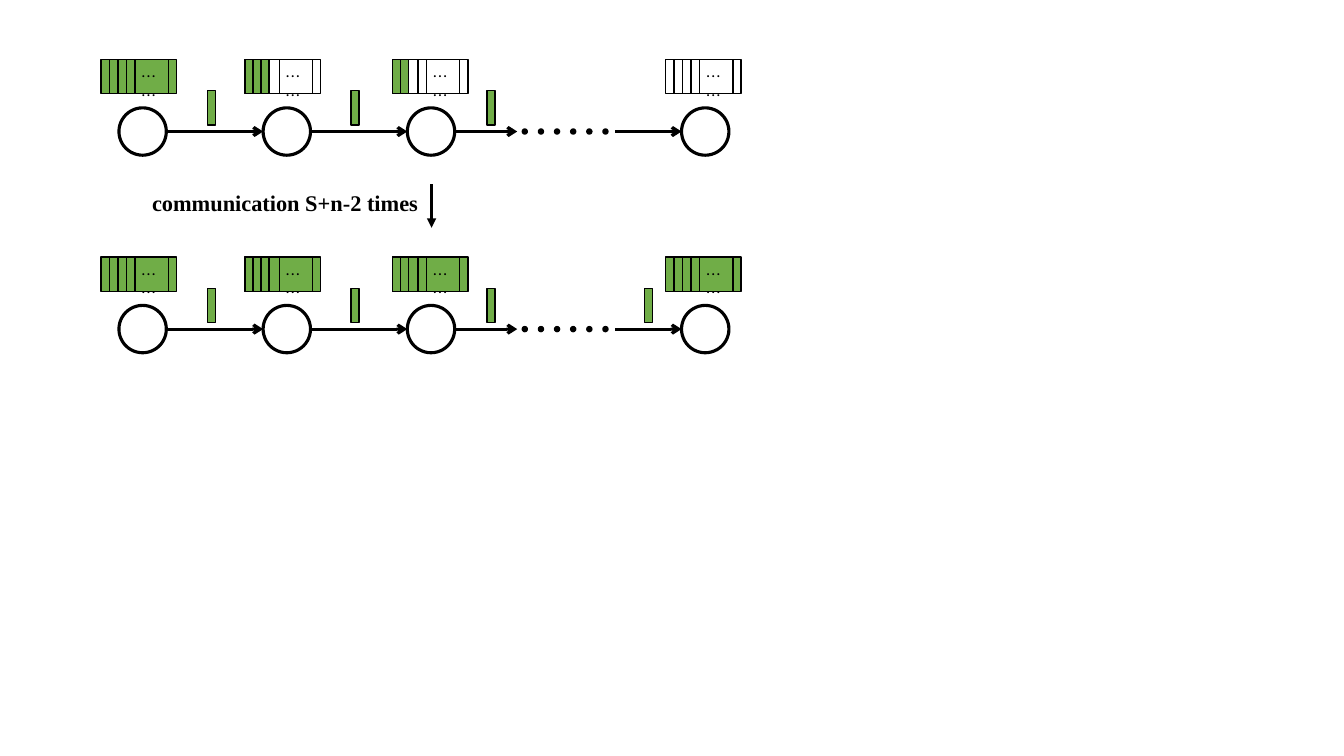
from pptx import Presentation
from pptx.dml.color import RGBColor
from pptx.enum.shapes import MSO_CONNECTOR, MSO_SHAPE
from pptx.enum.text import MSO_AUTO_SIZE
from pptx.oxml.ns import qn
from pptx.util import Inches, Pt
from lxml.etree import SubElement

COLORS = {"black": "000000", "white": "FFFFFF", "green": "70AD47"}
UNIT = Inches(0.01)  # one column or row of the slide grid
THIN, THICK = 1, 2.25

# Parts of a pipeline row, in grid units from its left and top
STACKS = (0, 143, 289, 560)
NODES = (18, 161, 304, 576)
PACKETS = (106, 248, 383, 539)
STACK_WIDTH, CELL_WIDTH, CELL_HEIGHT = 75, 8, 34
DIVIDER_STEP, LEADING_DIVIDERS, LAST_DIVIDER = 8.5, 4, 67
NODE_SIZE, NODE_TOP, PACKET_TOP = 47, 48, 31
GAP_LEFT, GAP_WIDTH, GAP_HEIGHT = 413, 97, 38
DOT_SIZE, DOT_STEP, DOT_COUNT = 5, 16, 6
RECT_LEFT, RECT_RIGHT = 1, 3


def grid(*lengths):
    return [round(length * UNIT) for length in lengths]


def color(name):
    return RGBColor.from_string(COLORS[name])


def add_block(page, kind, box, fill, line="black", weight=THIN):
    block = page.shapes.add_shape(kind, *grid(*box))
    block.shadow.inherit = False
    block.fill.solid()
    block.fill.fore_color.rgb = color(fill)
    block.line.color.rgb = color(line)
    block.line.width = Pt(weight)
    return block


def add_line(page, ends, weight=THIN, head=None):
    line = page.shapes.add_connector(MSO_CONNECTOR.STRAIGHT, *grid(*ends))
    line.line.color.rgb = color("black")
    line.line.width = Pt(weight)
    if head:
        SubElement(line.line._get_or_add_ln(), qn("a:tailEnd"), type=head)
    SubElement(line._element.spPr, qn("a:effectLst"))
    return line


def add_text(page, box, text, wrap, style):
    frame = page.shapes.add_textbox(*grid(*box)).text_frame
    frame.word_wrap = wrap
    frame.auto_size = MSO_AUTO_SIZE.SHAPE_TO_FIT_TEXT
    span = frame.paragraphs[0].add_run()
    span.text = text
    for name, value in style.items():
        setattr(span.font, name, value)
    span.font.color.rgb = color("black")
    SubElement(span.font._element, qn("a:ea"), typeface=style["name"])


def draw_cell(page, left, top):
    add_block(page, MSO_SHAPE.RECTANGLE, (left, top, CELL_WIDTH, CELL_HEIGHT), "green")


def draw_stack(page, left, top, fill, green_cells):
    """A stack of data slices whose first cells may be filled."""
    add_block(page, MSO_SHAPE.RECTANGLE, (left, top, STACK_WIDTH, CELL_HEIGHT), fill)
    add_text(page, (left + 30, top + 3, 46, 29), "……", True,
             {"name": "Noto Sans CJK SC", "size": Pt(11)})
    dividers = [step * DIVIDER_STEP for step in range(green_cells + 1, LEADING_DIVIDERS + 1)]
    for offset in dividers + [LAST_DIVIDER]:
        add_line(page, (left + offset, top, left + offset, top + CELL_HEIGHT))
    for cell in range(green_cells):
        draw_cell(page, left + cell * CELL_WIDTH, top)


def draw_pipeline(page, left, top, fills, packet_count):
    """Nodes joined by arrows, with stacks above and packets in transit."""
    for offset in NODES:
        add_block(page, MSO_SHAPE.OVAL, (left + offset, top + NODE_TOP, NODE_SIZE, NODE_SIZE),
                  "white", weight=THICK)
    middle = top + NODE_TOP + NODE_SIZE / 2
    gap = add_block(page, MSO_SHAPE.RECTANGLE,
                    (left + GAP_LEFT, middle - GAP_HEIGHT / 2, GAP_WIDTH, GAP_HEIGHT),
                    "white", "white")
    # Arrows between nodes, the last two by way of the gap
    first, second, third, last = NODES
    spans = ((first + NODE_SIZE, second), (second + NODE_SIZE, third),
             (third + NODE_SIZE, GAP_LEFT), (GAP_LEFT + GAP_WIDTH, last))
    arrows = [add_line(page, (left + start, middle, left + end, middle), THICK, "arrow")
              for start, end in spans]
    arrows[2].end_connect(gap, RECT_LEFT)
    arrows[3].begin_connect(gap, RECT_RIGHT)
    # Dots for the skipped nodes
    for dot in range(DOT_COUNT):
        add_block(page, MSO_SHAPE.OVAL,
                  (left + GAP_LEFT + 5 + dot * DOT_STEP, middle - DOT_SIZE / 2,
                   DOT_SIZE, DOT_SIZE), "black")
    # Stacks and packets
    for offset, fill, green_cells in zip(STACKS, fills, (0, 3, 2, 0)):
        draw_stack(page, left + offset, top, fill, green_cells)
    for offset in PACKETS[:packet_count]:
        draw_cell(page, left + offset, top + PACKET_TOP)


def draw_step(page, left, top):
    """The labelled arrow between the two states."""
    add_line(page, (left + 287, top, left + 287, top + 43), THICK, "triangle")
    add_text(page, (left, top, 288, 37), "communication S+n-2 times", False,
             {"name": "Times New Roman", "size": Pt(16), "bold": True})


def main():
    deck = Presentation()
    deck.slide_width, deck.slide_height = Inches(13.33), Inches(7.5)
    page = deck.slides.add_slide(deck.slide_layouts[6])
    draw_pipeline(page, 100, 59, ["green"] + ["white"] * 3, 3)
    draw_pipeline(page, 100, 255, ["green"] * 4, 4)
    draw_step(page, 141, 183)
    deck.save("out.pptx")


if __name__ == "__main__":
    main()
